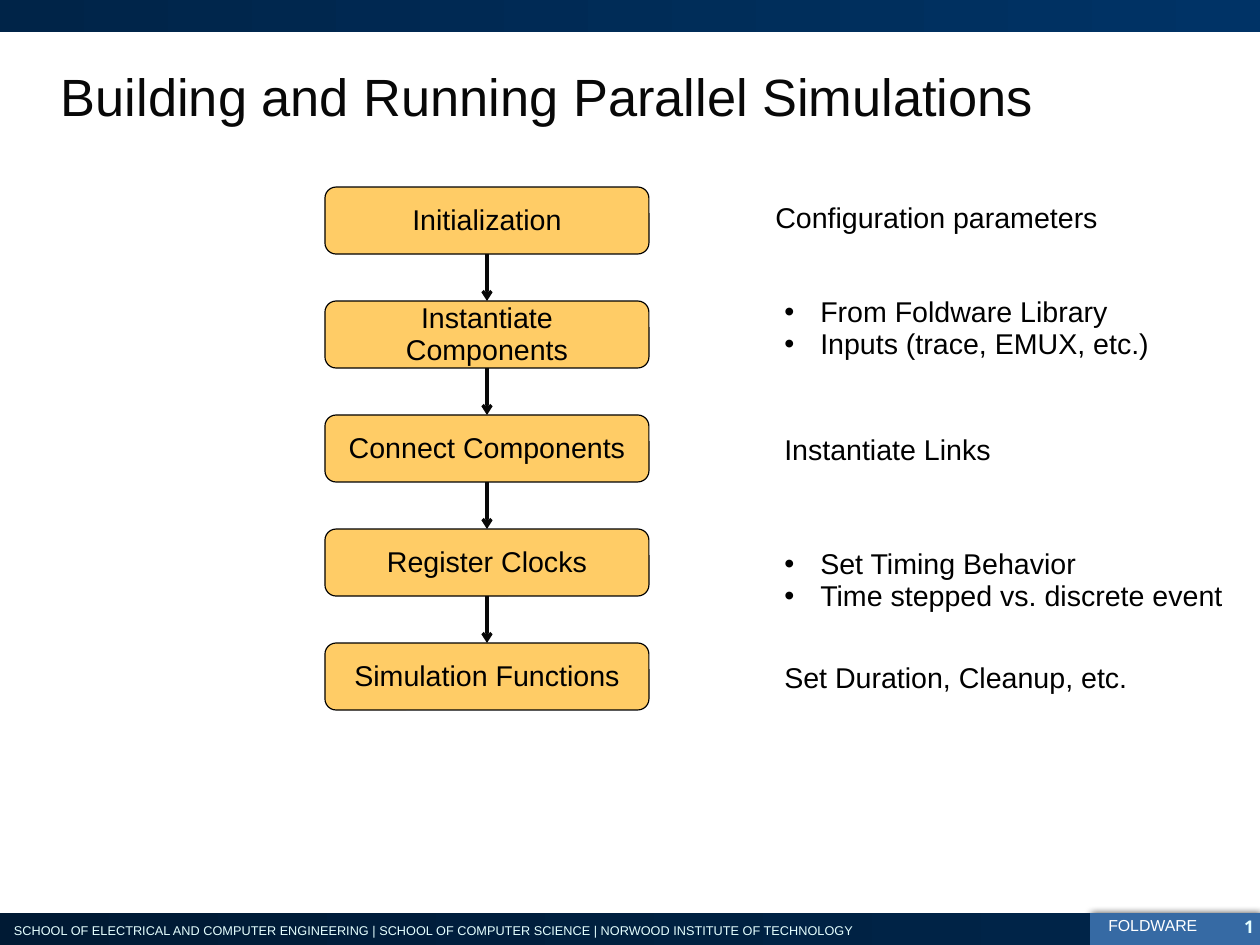
from lxml import etree
from pptx import Presentation
from pptx import util as u
from pptx.dml.color import RGBColor
from pptx.enum import shapes, text
from pptx.oxml import ns

SCALE = 8000  # EMU per pixel
WIDTH, HEIGHT = 1260, 945

TITLE = "Building and Running Parallel Simulations"
SCHOOLS = ("SCHOOL OF ELECTRICAL AND COMPUTER ENGINEERING | "
           "SCHOOL OF COMPUTER SCIENCE | NORWOOD INSTITUTE OF TECHNOLOGY")
PROJECT = "FOLDWARE"
PAGE = "1"
# step, left and top of its notes, notes (bulleted when more than one)
STEPS = [
    ("Initialization", 764, 197, ["Configuration parameters"]),
    ("Instantiate Components", 773, 291,
     ["From Foldware Library", "Inputs (trace, EMUX, etc.)"]),
    ("Connect Components", 773, 429, ["Instantiate Links"]),
    ("Register Clocks", 773, 543,
     ["Set Timing Behavior", "Time stepped vs. discrete event"]),
    ("Simulation Functions", 773, 657, ["Set Duration, Cleanup, etc."]),
]
STEP_LEFT, STEP_TOP, STEP_W, STEP_H, PITCH = 325, 187, 324, 67, 114
NOTE_W, BULLET_INDENT = 480, 36
BAR_H, FOOTER_TOP, TAB_LEFT = 32, 913, 1090
INK, BLACK, PALE = "080808", "000000", "E5FFFF"


def px(*lengths):
    """Turn pixels into EMU."""
    return [u.Emu(round(length * SCALE)) for length in lengths]


def color(hex_code):
    """Turn a hex string into a colour."""
    return RGBColor.from_string(hex_code)


def add_xml(parent, tag, **attributes):
    """Append a drawing element to its parent."""
    return etree.SubElement(parent, ns.qn(tag), attributes)


def write(frame, lines, size, ink, font="Arial", bold=False, spacing=None,
          align=None, bullets=False):
    """Write each line as a paragraph of one run."""
    frame.word_wrap = True
    for i, line in enumerate(lines):
        paragraph = frame.add_paragraph() if i else frame.paragraphs[0]
        paragraph.alignment = align
        paragraph.line_spacing = spacing
        run = paragraph.add_run()
        run.text = line
        run.font.size, run.font.name, run.font.bold = u.Pt(size), font, bold
        run.font.color.rgb = color(ink)
        if bullets:
            props = paragraph._p.get_or_add_pPr()
            indent = px(BULLET_INDENT)[0]
            props.set("marL", str(indent))
            props.set("indent", str(-indent))
            add_xml(props, "a:buFont", typeface="Arial")
            add_xml(props, "a:buChar", char="•")


def add_text(box, lines, size, ink, margins=None, middle=False, **style):
    """Add a text box; margins are (side, top and bottom) in pixels."""
    frame = slide.shapes.add_textbox(*px(*box)).text_frame
    if margins:
        frame.margin_left = frame.margin_right = px(margins[0])[0]
        frame.margin_top = frame.margin_bottom = px(margins[1])[0]
    if middle:
        frame.vertical_anchor = text.MSO_ANCHOR.MIDDLE
    write(frame, lines, size, ink, **style)


def add_block(kind, box, *fills, line=None):
    """Add a shape with a plain fill, or a gradient if given two colours."""
    block = slide.shapes.add_shape(kind, *px(*box))
    block.shadow.inherit = False
    if len(fills) == 1:
        block.fill.solid()
        block.fill.fore_color.rgb = color(fills[0])
    else:
        block.fill.gradient()
        block.fill.gradient_angle = 0
        for position, (stop, shade) in enumerate(
                zip(block.fill.gradient_stops, fills)):
            stop.color.rgb, stop.position = color(shade), position
    if line:
        block.line.color.rgb, block.line.width = color(line), u.Pt(0.75)
    else:
        block.line.fill.background()
    return block


def add_arrow(x, top, bottom):
    """Add a downward arrow."""
    arrow = slide.shapes.add_connector(
        shapes.MSO_CONNECTOR.STRAIGHT, *px(x, top, x, bottom))
    arrow.line.color.rgb, arrow.line.width = color(INK), u.Pt(2)
    add_xml(arrow.line._get_or_add_ln(), "a:tailEnd", type="arrow")
    add_xml(arrow._element.spPr, "a:effectLst")


deck = Presentation()
deck.slide_width, deck.slide_height = px(WIDTH, HEIGHT)
slide = deck.slides.add_slide(deck.slide_layouts[6])

# Header and footer
RECT = shapes.MSO_SHAPE.RECTANGLE
tab = add_block(RECT, (TAB_LEFT, FOOTER_TOP, WIDTH - TAB_LEFT, BAR_H), "366AA4")
effects = tab._element.spPr.find(ns.qn("a:effectLst"))
shadow = add_xml(effects, "a:outerShdw", blurRad=str(u.Pt(5)),
                 dist=str(u.Pt(1)), dir="0", rotWithShape="0")
add_xml(add_xml(shadow, "a:srgbClr", val=BLACK), "a:alpha", val="75000")
add_block(RECT, (0, FOOTER_TOP, TAB_LEFT, BAR_H), "001A34", "002448")
add_block(RECT, (0, 0, WIDTH, BAR_H), "002448", "003366")
add_text((1, 916, 920, 28), [SCHOOLS], 8, PALE, margins=(13, 7))
add_text((1097, 912, 120, 30), [PROJECT], 10, "FFFFFF", spacing=0.93)
add_text((1205, 909, 49, 30), [PAGE], 11, PALE, margins=(0, 7),
         font="Noto Sans", bold=True, align=text.PP_ALIGN.RIGHT)
add_text((48, 31, 1172, 130), [TITLE], 33, INK, margins=(13, 7), middle=True)

# Steps, their arrows and notes
for i, (step, note_left, note_top, notes) in enumerate(STEPS):
    top = STEP_TOP + i * PITCH
    block = add_block(shapes.MSO_SHAPE.ROUNDED_RECTANGLE,
                      (STEP_LEFT, top, STEP_W, STEP_H), "FFCC66", line=BLACK)
    block.text_frame.vertical_anchor = text.MSO_ANCHOR.MIDDLE
    write(block.text_frame, [step], 18, BLACK, spacing=0.93,
          align=text.PP_ALIGN.CENTER)
    if i:
        add_arrow(STEP_LEFT + STEP_W / 2, top - PITCH + STEP_H, top)
    add_text((note_left, note_top, NOTE_W, 45 if len(notes) == 1 else 77),
             notes, 18, BLACK, spacing=0.93, bullets=len(notes) > 1)

deck.save("out.pptx")
